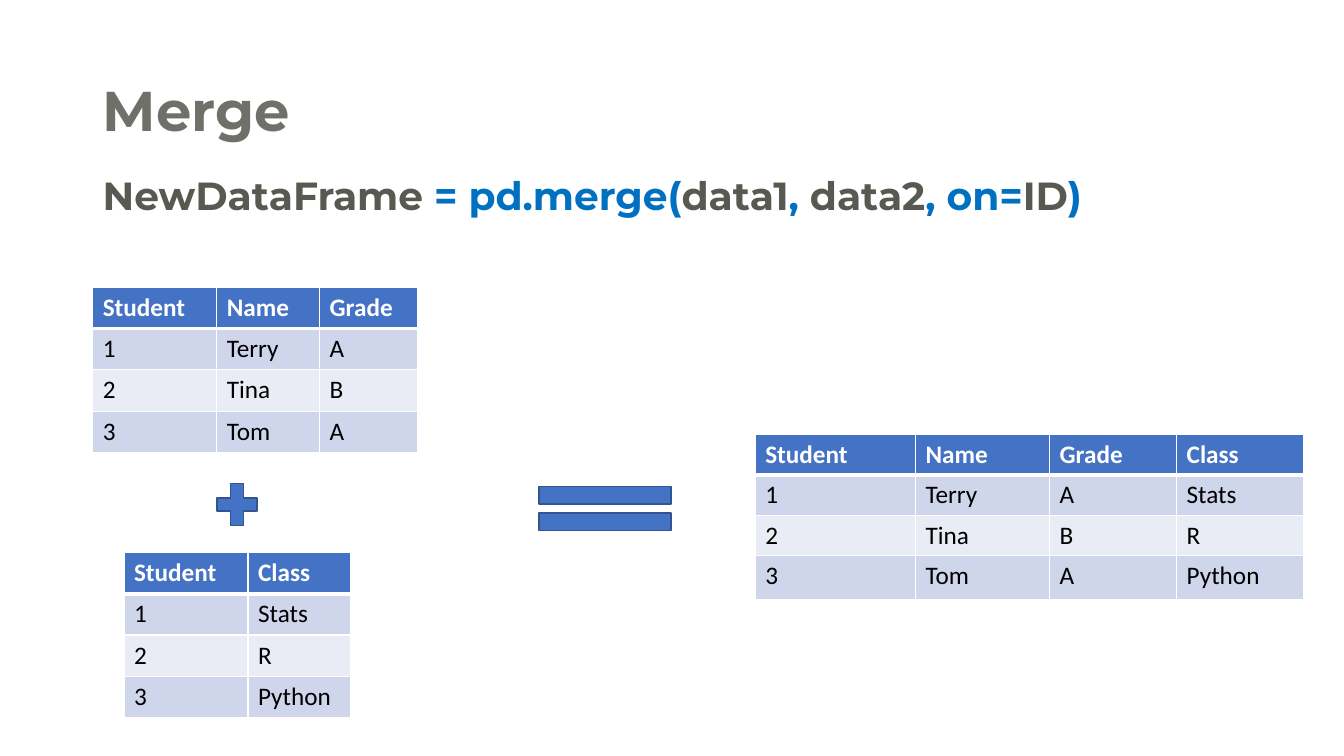
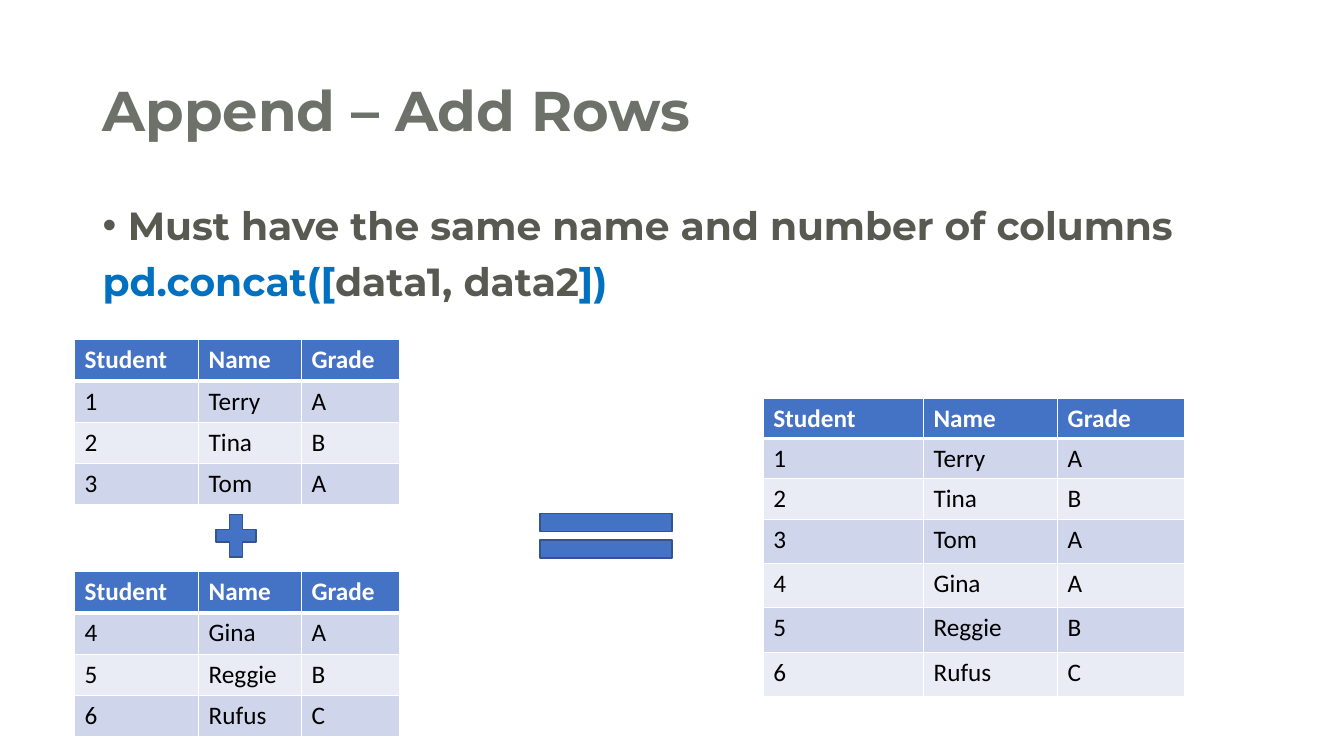
from dataclasses import dataclass

from lxml import etree
from pptx import Presentation
from pptx.dml.color import RGBColor
from pptx.enum.shapes import MSO_SHAPE
from pptx.enum.text import MSO_ANCHOR
from pptx.oxml.ns import qn
from pptx.util import Inches, Pt

PLUS, EQUALS = MSO_SHAPE.MATH_PLUS, MSO_SHAPE.MATH_EQUAL
TOP, MIDDLE = MSO_ANCHOR.TOP, MSO_ANCHOR.MIDDLE

WHITE = RGBColor(0xFF, 0xFF, 0xFF)
BLACK = RGBColor(0x00, 0x00, 0x00)
TITLE_GREY = RGBColor(0x6E, 0x70, 0x6A)
BODY_GREY = RGBColor(0x58, 0x59, 0x51)
CODE_BLUE = RGBColor(0x00, 0x70, 0xC0)
ACCENT = RGBColor(0x44, 0x72, 0xC4)
ACCENT_DARK = RGBColor(0x32, 0x54, 0x91)
BANDS = (RGBColor(0xCF, 0xD5, 0xEA), RGBColor(0xE9, 0xEB, 0xF5))

HEADING_FONT, TABLE_FONT = "Montserrat", "Calibri"
TEXT_LEFT, TEXT_WIDTH = 0.92, 11.5

# Column widths and row heights, in inches
INPUT_COLUMNS = (1.23, 1.02, 0.97)
RESULT_COLUMNS = (1.59, 1.33, 1.26, 1.26)
INPUT_ROWS = (0.41,) * 4
RESULT_ROWS = (0.4,) * 3 + (0.44,) * 4

Record = tuple[str, ...]


@dataclass(frozen=True)
class Span:
    text: str
    color: RGBColor = BODY_GREY


@dataclass(frozen=True)
class Line:
    spans: tuple[Span, ...]
    bullet: bool = False


@dataclass(frozen=True)
class DataTable:
    left: float
    top: float
    records: list[Record]
    columns: tuple[float, ...] = INPUT_COLUMNS
    rows: tuple[float, ...] = INPUT_ROWS


@dataclass(frozen=True)
class Operator:
    kind: MSO_SHAPE
    left: float
    top: float
    width: float
    height: float


@dataclass(frozen=True)
class Example:
    title: str
    body_top: float
    body: tuple[Line, ...]
    tables: tuple[DataTable, ...]
    operators: tuple[Operator, ...]


# Student data and its combinations
GRADE_HEADER = ("Student", "Name", "Grade")
GRADES = [GRADE_HEADER, ("1", "Terry", "A"), ("2", "Tina", "B"), ("3", "Tom", "A")]
MORE_GRADES = [GRADE_HEADER, ("4", "Gina", "A"), ("5", "Reggie", "B"), ("6", "Rufus", "C")]
CLASSES = [("Student", "Class"), ("1", "Stats"), ("2", "R"), ("3", "Python")]
MERGED = [grade + course[1:] for grade, course in zip(GRADES, CLASSES)]
APPENDED = GRADES + MORE_GRADES[1:]

EXAMPLES = (
    Example(
        title="Merge",
        body_top=1.7,
        body=(
            Line((
                Span("NewDataFrame "), Span("= pd.merge(", CODE_BLUE),
                Span("data1"), Span(",", CODE_BLUE),
                Span(" data2"), Span(", on=", CODE_BLUE),
                Span("ID"), Span(")", CODE_BLUE),
            )),
        ),
        tables=(
            DataTable(0.92, 2.85, GRADES),
            DataTable(1.23, 5.48, CLASSES),
            DataTable(7.49, 4.31, MERGED, RESULT_COLUMNS, RESULT_ROWS),
        ),
        operators=(
            Operator(PLUS, 2.08, 4.72, 0.54, 0.57),
            Operator(EQUALS, 5.11, 4.67, 1.78, 0.75),
        ),
    ),
    Example(
        title="Append – Add Rows",
        body_top=2,
        body=(
            Line((Span("Must have the same name and number of columns"),), bullet=True),
            Line((
                Span("pd.concat([", CODE_BLUE), Span("data1, data2"),
                Span("])", CODE_BLUE),
            )),
        ),
        tables=(
            DataTable(0.74, 3.37, GRADES),
            DataTable(0.74, 5.67, MORE_GRADES),
            DataTable(7.57, 3.95, APPENDED, RESULT_COLUMNS, RESULT_ROWS),
        ),
        operators=(
            Operator(PLUS, 2.07, 5.03, 0.54, 0.57),
            Operator(EQUALS, 5.12, 4.94, 1.78, 0.75),
        ),
    ),
)


def write_run(paragraph, text: str, *, size: int, color: RGBColor,
              font: str = HEADING_FONT, bold: bool = True) -> None:
    run = paragraph.add_run()
    run.text = text
    run.font.name = font
    run.font.size = Pt(size)
    run.font.bold = bold
    run.font.color.rgb = color


def add_bullet(paragraph) -> None:
    properties = paragraph._p.get_or_add_pPr()
    properties.set("marL", str(Inches(0.25)))
    properties.set("indent", str(-Inches(0.25)))
    etree.SubElement(properties, qn("a:buFont"), typeface="Arial")
    etree.SubElement(properties, qn("a:buChar"), char="•")


def add_text(slide, lines: tuple[Line, ...], *, top: float, height: float,
             size: int, anchor: MSO_ANCHOR = TOP) -> None:
    box = slide.shapes.add_textbox(
        Inches(TEXT_LEFT), Inches(top), Inches(TEXT_WIDTH), Inches(height))
    frame = box.text_frame
    frame.word_wrap = True
    frame.vertical_anchor = anchor
    for index, line in enumerate(lines):
        paragraph = frame.add_paragraph() if index else frame.paragraphs[0]
        if line.bullet:
            add_bullet(paragraph)
        paragraph.line_spacing = 0.9
        if index:
            paragraph.space_before = Pt(10)
        for span in line.spans:
            write_run(paragraph, span.text, size=size, color=span.color)


def set_borders(cell, **widths: float) -> None:
    """Draw white borders; widths in points by side: L, R, T, B."""
    properties = cell._tc.get_or_add_tcPr()
    for side, width in widths.items():
        border = etree.SubElement(properties, qn(f"a:ln{side}"), w=str(Pt(width)))
        fill = etree.SubElement(border, qn("a:solidFill"))
        etree.SubElement(fill, qn("a:srgbClr"), val=str(WHITE))


def add_data_table(slide, data: DataTable) -> None:
    widths = data.columns[:len(data.records[0])]
    heights = data.rows[:len(data.records)]
    table = slide.shapes.add_table(
        len(heights), len(widths), Inches(data.left), Inches(data.top),
        Inches(sum(widths)), Inches(sum(heights))).table
    for column, width in zip(table.columns, widths):
        column.width = Inches(width)
    for index, (row, height, record) in enumerate(zip(table.rows, heights, data.records)):
        row.height = Inches(height)
        header = index == 0
        for cell, text in zip(row.cells, record):
            # The rule under the header is thicker than the others
            set_borders(cell, L=1, R=1, T=3 if index == 1 else 1, B=3 if header else 1)
            cell.fill.solid()
            cell.fill.fore_color.rgb = ACCENT if header else BANDS[(index - 1) % 2]
            write_run(cell.text_frame.paragraphs[0], text, size=18, font=TABLE_FONT,
                      color=WHITE if header else BLACK, bold=header)


def add_operator(slide, operator: Operator) -> None:
    sign = slide.shapes.add_shape(
        operator.kind, Inches(operator.left), Inches(operator.top),
        Inches(operator.width), Inches(operator.height))
    sign.shadow.inherit = False
    sign.fill.solid()
    sign.fill.fore_color.rgb = ACCENT
    sign.line.color.rgb = ACCENT_DARK
    sign.line.width = Pt(1)


def add_example(presentation, example: Example) -> None:
    slide = presentation.slides.add_slide(presentation.slide_layouts[6])
    add_text(slide, (Line((Span(example.title, TITLE_GREY),)),),
             top=0.4, height=1.45, size=40, anchor=MIDDLE)
    add_text(slide, example.body, top=example.body_top, height=4.76, size=28)
    for data in example.tables:
        add_data_table(slide, data)
    for operator in example.operators:
        add_operator(slide, operator)


def main() -> None:
    presentation = Presentation()
    presentation.slide_width = Inches(13.33)
    presentation.slide_height = Inches(7.5)
    for example in EXAMPLES:
        add_example(presentation, example)
    presentation.save("out.pptx")


if __name__ == "__main__":
    main()
